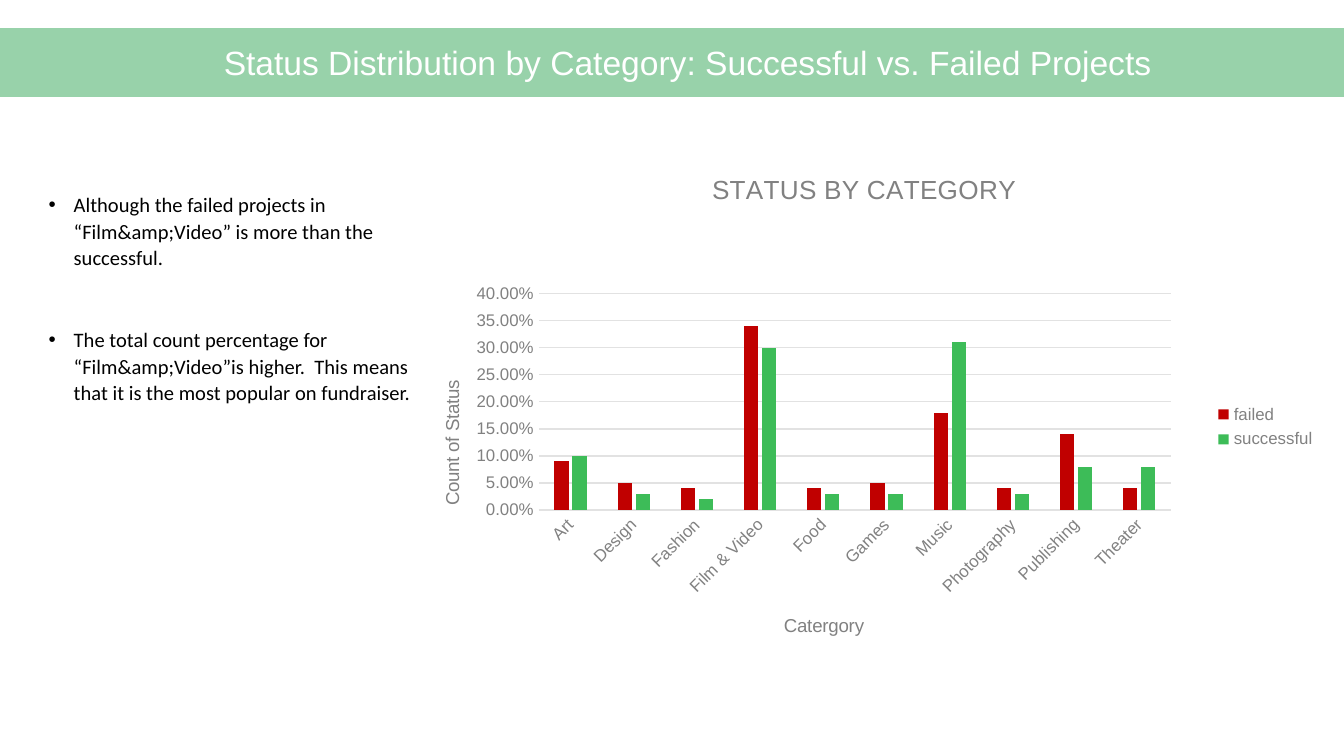
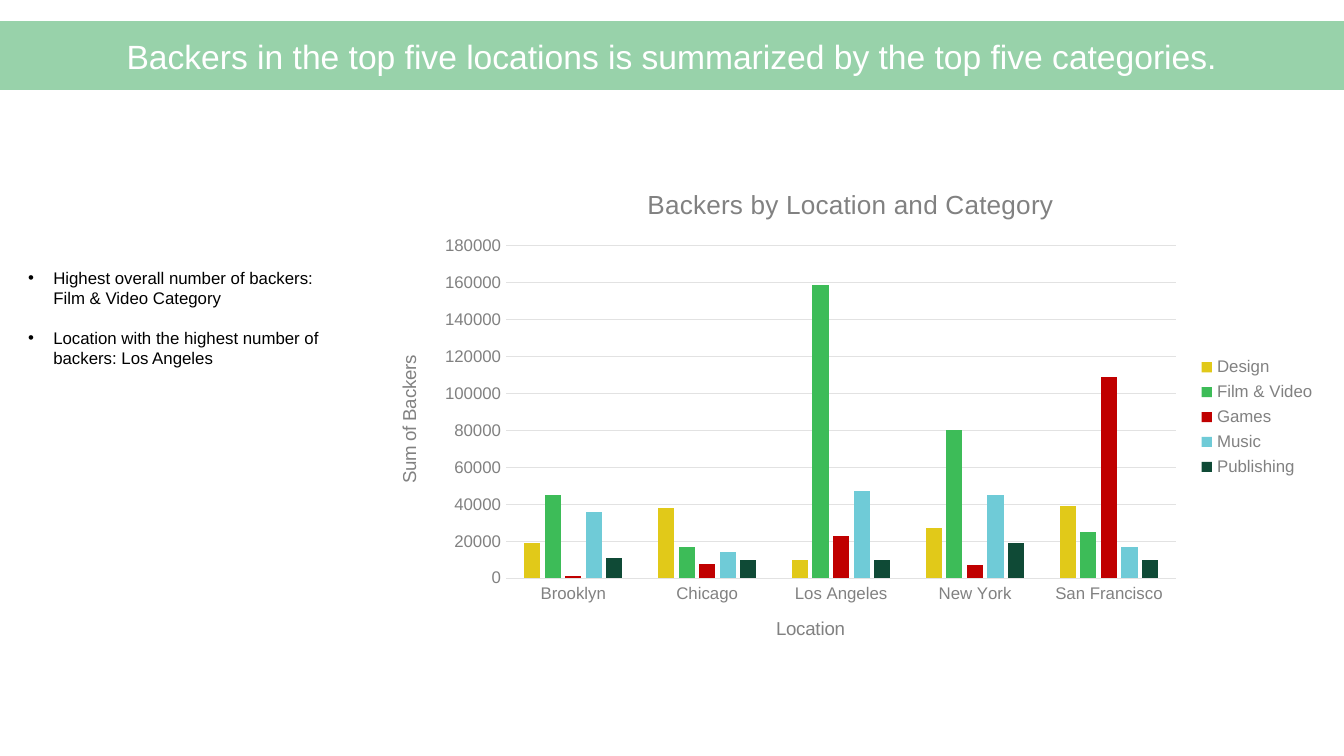
"""Build two chart slides on the backing of creative projects."""
from dataclasses import dataclass

from lxml.etree import SubElement
from pptx import Presentation
from pptx.chart.data import CategoryChartData
from pptx.dml.color import RGBColor
from pptx.enum.chart import XL_CHART_TYPE, XL_LEGEND_POSITION, XL_TICK_MARK
from pptx.enum.shapes import MSO_SHAPE
from pptx.enum.text import MSO_ANCHOR, MSO_AUTO_SIZE, PP_ALIGN
from pptx.oxml.ns import qn
from pptx.util import Pt


@dataclass(frozen=True)
class Theme:
    band: str = "98D2AA"
    white: str = "FFFFFF"
    black: str = "000000"
    gray: str = "818181"
    grid: str = "E2E2E2"
    red: str = "C00000"
    green: str = "3DBC58"
    gold: str = "E1C919"
    aqua: str = "6FCBD7"
    pine: str = "0F4A36"
    sans: str = "Arial"
    body: str = "Calibri"
    head: float = 18
    title: float = 14
    axis: float = 10
    note: float = 11
    small: float = 9


def style(font, size, color, face):
    font.size = Pt(size)
    font.name = face
    font.bold = False
    font.color.rgb = RGBColor.from_string(color)


def put(para, text, size, color, face="Arial", align=None, line=None, after=None):
    run = para.add_run()
    run.text = text
    style(run.font, size, color, face)
    if align is not None:
        para.alignment = align
    if line is not None:
        para.line_spacing = line
    if after is not None:
        para.space_after = Pt(after)


def mark(para, left, hang, color):
    props = para._p.get_or_add_pPr()
    props.set("marL", str(Pt(left)))
    props.set("indent", str(-Pt(hang)))
    tint = SubElement(props, qn("a:buClr"))
    SubElement(tint, qn("a:srgbClr")).set("val", color)
    SubElement(props, qn("a:buFont")).set("typeface", "Arial")
    SubElement(props, qn("a:buChar")).set("char", "•")


def place(node, spots, inner=False):
    old = node.find(qn("c:layout"))
    if old is not None:
        node.remove(old)
    frame = SubElement(node, qn("c:layout"))
    node.insert(0 if node.find(qn("c:tx")) is None else 1, frame)
    box = SubElement(frame, qn("c:manualLayout"))
    if inner:
        SubElement(box, qn("c:layoutTarget")).set("val", "inner")
    for key in "xy":
        SubElement(box, qn(f"c:{key}Mode")).set("val", "edge")
    for key, spot in zip("xywh", spots):
        SubElement(box, qn(f"c:{key}")).set("val", str(spot))


class Deck:
    def __init__(self, theme):
        self.theme = theme
        self.file = Presentation()
        self.file.slide_width, self.file.slide_height = Pt(720), Pt(405)
        self.slide = None

    def page(self):
        self.slide = self.file.slides.add_slide(self.file.slide_layouts[6])

    def band(self, text, left, top):
        look = self.theme
        shape = self.slide.shapes.add_shape(
            MSO_SHAPE.RECTANGLE, Pt(left), Pt(top), Pt(762), Pt(35))
        shape.shadow.inherit = False
        tint = RGBColor.from_string(look.band)
        shape.fill.solid()
        shape.fill.fore_color.rgb = tint
        shape.line.color.rgb = tint
        shape.line.width = Pt(2)
        frame = shape.text_frame
        frame.word_wrap = True
        frame.vertical_anchor = MSO_ANCHOR.MIDDLE
        put(frame.paragraphs[0], text, look.head, look.white, look.sans,
            align=PP_ALIGN.CENTER)

    def notes(self, texts, box, indent, gap, **form):
        shape = self.slide.shapes.add_textbox(*map(Pt, box))
        frame = shape.text_frame
        frame.word_wrap = True
        frame.auto_size = MSO_AUTO_SIZE.SHAPE_TO_FIT_TEXT
        for num, text in enumerate(texts):
            para = frame.add_paragraph() if num else frame.paragraphs[0]
            last = num == len(texts) - 1
            put(para, text, color=self.theme.black,
                after=0 if last else gap, **form)
            mark(para, indent, 13.5, self.theme.black)

    def label(self, item, text, size, spot=None):
        item.has_text_frame = True
        put(item.text_frame.paragraphs[0], text, size, self.theme.gray,
            self.theme.sans)
        if spot:
            place(item._element, spot)

    def axis(self, axis, name, spot):
        look = self.theme
        axis.has_title = True
        self.label(axis.axis_title, name, look.axis, spot)
        axis.major_tick_mark = axis.minor_tick_mark = XL_TICK_MARK.NONE
        style(axis.tick_labels.font, look.small, look.gray, look.sans)

    def rule(self, line):
        line.color.rgb = RGBColor.from_string(self.theme.grid)
        line.width = Pt(0.75)

    def chart(self, title, box, cats, rows, names, plot, top, step,
              form="General", spots=(None, None), turn=0):
        look = self.theme
        data = CategoryChartData(number_format=form)
        data.categories = cats
        for name, _, vals in rows:
            data.add_series(name, vals)
        chart = self.slide.shapes.add_chart(
            XL_CHART_TYPE.COLUMN_CLUSTERED, *map(Pt, box), data).chart
        style(chart.font, look.axis, look.gray, look.sans)
        chart.has_title = True
        self.label(chart.chart_title, title, look.title)
        chart.has_legend = True
        chart.legend.position = XL_LEGEND_POSITION.RIGHT
        chart.legend.include_in_layout = False
        style(chart.legend.font, look.small, look.gray, look.sans)

        bars = chart.plots[0]
        bars.gap_width, bars.overlap = 219, -27
        bars.vary_by_categories = False
        for line, (_, color, _) in zip(bars.series, rows):
            line.format.fill.solid()
            line.format.fill.fore_color.rgb = RGBColor.from_string(color)
        place(bars._element.getparent(), plot, inner=True)

        base, side = chart.category_axis, chart.value_axis
        for axis, name, spot in zip((base, side), names, spots):
            self.axis(axis, name, spot)
        self.rule(base.format.line)
        if turn:
            props = base._element.find(qn("c:txPr")).find(qn("a:bodyPr"))
            props.set("rot", str(turn * 60000))
            props.set("vert", "horz")
        side.format.line.fill.background()
        side.has_major_gridlines = True
        self.rule(side.major_gridlines.format.line)
        side.minimum_scale, side.maximum_scale = 0, top
        side.major_unit = step
        side.tick_labels.number_format = form
        side.tick_labels.number_format_is_linked = False


def status(deck):
    look = deck.theme
    deck.page()
    deck.chart(
        "STATUS BY CATEGORY", (214, 80, 498, 297.5),
        ("Art", "Design", "Fashion", "Film & Video", "Food", "Games",
         "Music", "Photography", "Publishing", "Theater"),
        (("failed", look.red,
          (0.09, 0.05, 0.04, 0.34, 0.04, 0.05, 0.18, 0.04, 0.14, 0.04)),
         ("successful", look.green,
          (0.1, 0.03, 0.02, 0.3, 0.03, 0.03, 0.31, 0.03, 0.08, 0.08))),
        ("Catergory", "Count of Status"), (0.15, 0.26, 0.68, 0.39),
        0.4, 0.05, form="0.00%", spots=((0.41, 0.83), (0.04, 0.41)), turn=-45)
    deck.notes(
        ("Although the failed projects in “Film&amp;Video” is more than "
         "the successful.",
         "The total count percentage for “Film&amp;Video”is higher.  This "
         "means that it is the most popular on fundraiser."),
        (-17.3, 98.6, 245.5, 137), 49.7, 30,
        size=look.note, face=look.body, line=1.07)
    deck.band("Status Distribution by Category: Successful vs. Failed Projects",
              -12.5, 16)


def backers(deck):
    look = deck.theme
    deck.page()
    deck.notes(
        ("Highest overall number of backers: Film & Video Category",
         "Location with the highest number of backers: Los Angeles"),
        (8, 139.7, 177, 83.5), 13.5, 10.5, size=look.small, face=look.sans)
    deck.chart(
        "Backers by Location and Category", (199.5, 88.5, 512.5, 270),
        ("Brooklyn", "Chicago", "Los Angeles", "New York", "San Francisco"),
        (("Design", look.gold, (19000, 38000, 10000, 27000, 39000)),
         ("Film & Video", look.green, (45000, 17000, 159000, 80000, 25000)),
         ("Games", look.red, (1000, 8000, 23000, 7000, 109000)),
         ("Music", look.aqua, (36000, 14000, 47000, 45000, 17000)),
         ("Publishing", look.pine, (11000, 10000, 10000, 19000, 10000))),
        ("Location", "Sum of Backers"), (0.14, 0.16, 0.7, 0.66),
        180000, 20000)
    deck.band("Backers in the top five locations is summarized by the top "
              "five categories.", -21, 12.3)


def main():
    deck = Deck(Theme())
    status(deck)
    backers(deck)
    deck.file.save("out.pptx")


if __name__ == "__main__":
    main()
